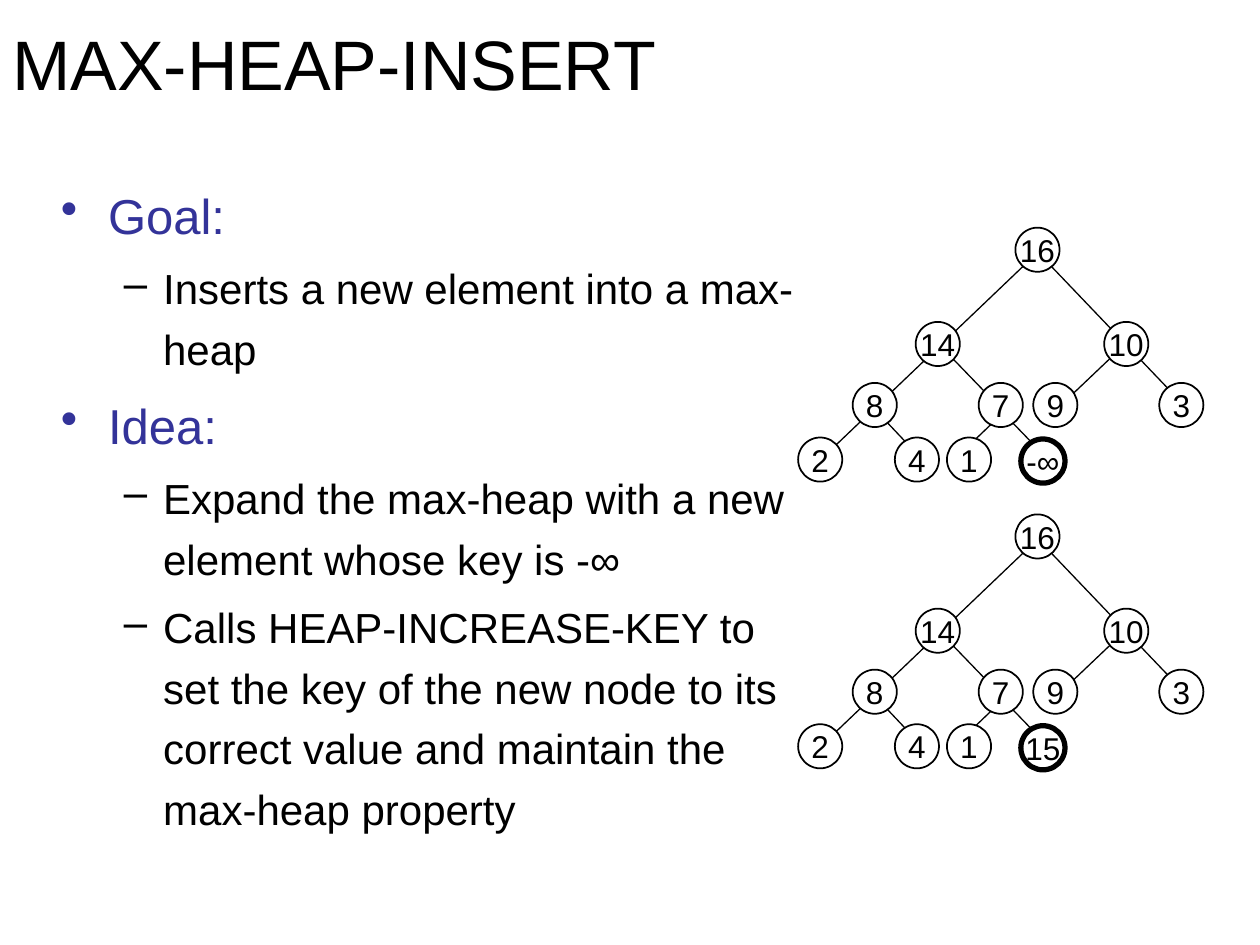
from lxml import etree
from pptx import Presentation
from pptx import util as u
from pptx.dml.color import RGBColor
from pptx.enum import shapes, text
from pptx.oxml import ns

COLORS = {"ink": "000000", "head": "333399", "paper": "FFFFFF"}
FACE = "Arial"
SIZE = 0.89
DROP = 5.78
LEVELS = [
    {"mark": "•", "left": 0.95, "hang": 0.95, "size": 28, "color": "head"},
    {"mark": "–", "left": 2.06, "hang": 0.79, "size": 24, "color": "ink"},
]
BODY = [
    (0, "Goal:"),
    (1, "Inserts a new element into a max-heap"),
    (0, "Idea:"),
    (1, "Expand the max-heap with a new element whose key is -∞"),
    (1, "Calls HEAP-INCREASE-KEY to set the key of the new node to its "
        "correct value and maintain the max-heap property"),
]
ROWS = [
    (4.59, [(20.47, "16")]),
    (6.49, [(18.46, "14"), (22.26, "10")]),
    (7.72, [(17.19, "8"), (19.73, "7"), (20.83, "9"), (23.37, "3")]),
    (8.82, [(16.09, "2"), (18.04, "4"), (19.09, "1")]),
]
EDGES = [
    (21.26, 9.4, 19.89, 7.98),
    (19.23, 9.27, 20.37, 8.18),
    (21.29, 8.26, 22.71, 6.91),
    (18.69, 9.37, 17.35, 7.95),
    (20.22, 8.28, 18.85, 6.86),
    (24.05, 8.36, 20.65, 4.8),
    (16.56, 9.25, 21.01, 5.0),
]


def apply(item, values):
    for name, value in values.items():
        setattr(item, name, value)


def color(key):
    return RGBColor.from_string(COLORS[key])


def style(para, size, key="ink"):
    apply(para.font, {"name": FACE, "size": u.Pt(size)})
    para.font.color.rgb = color(key)


def add_box(slide, left, top, width, height, **values):
    box = slide.shapes.add_textbox(*map(u.Cm, (left, top, width, height)))
    apply(box.text_frame, {"word_wrap": True, **values})
    return box.text_frame


def add_title(slide, words):
    frame = add_box(slide, 0, 0, 22.86, 2.51,
                    vertical_anchor=text.MSO_ANCHOR.MIDDLE)
    para = frame.paragraphs[0]
    para.text = words
    style(para, 40)


def add_body(slide):
    frame = add_box(slide, 0.98, 3.38, 15.54, 14.83)
    for i, (depth, words) in enumerate(BODY):
        level = LEVELS[depth]
        para = frame.add_paragraph() if i else frame.paragraphs[0]
        before = u.Pt(level["size"] * 0.2 if i else 0)
        apply(para, {"text": words, "level": depth,
                     "line_spacing": 1.2, "space_before": before})
        props = para._p.get_or_add_pPr()
        props.set("marL", str(u.Cm(level["left"])))
        props.set("indent", str(-u.Cm(level["hang"])))
        mark = etree.SubElement(props, ns.qn("a:buChar"))
        mark.set("char", level["mark"])
        style(para, level["size"], level["color"])


def add_edge(slide, ends, shift):
    x1, y1, x2, y2 = ends
    points = map(u.Cm, (x1, y1 + shift, x2, y2 + shift))
    edge = slide.shapes.add_connector(shapes.MSO_CONNECTOR.STRAIGHT, *points)
    edge.line.width = u.Pt(0.75)
    edge.line.color.rgb = color("ink")
    etree.SubElement(edge._element.spPr, ns.qn("a:effectLst"))


def add_node(slide, left, top, key, weight=1):
    node = slide.shapes.add_shape(
        shapes.MSO_SHAPE.OVAL, *map(u.Cm, (left, top, SIZE, SIZE)))
    node.shadow.inherit = False
    node.fill.solid()
    node.fill.fore_color.rgb = color("paper")
    node.line.width = u.Pt(weight)
    node.line.color.rgb = color("ink")
    apply(node.text_frame, {"word_wrap": False,
                            "vertical_anchor": text.MSO_ANCHOR.MIDDLE})
    para = node.text_frame.paragraphs[0]
    apply(para, {"text": key, "alignment": text.PP_ALIGN.CENTER})
    style(para, 18)


def add_heap(slide, key, shift):
    for ends in EDGES:
        add_edge(slide, ends, shift)
    add_node(slide, 20.58, 8.85 + shift, key, 3)
    for top, row in ROWS:
        for left, label in row:
            add_node(slide, left, top + shift, label)


def main():
    deck = Presentation()
    apply(deck, {"slide_width": u.Cm(25.4), "slide_height": u.Cm(19.05)})
    slide = deck.slides.add_slide(deck.slide_layouts[6])
    add_title(slide, "MAX-HEAP-INSERT")
    add_body(slide)
    for i, key in enumerate(["-∞", "15"]):
        add_heap(slide, key, i * DROP)
    deck.save("out.pptx")


if __name__ == "__main__":
    main()
